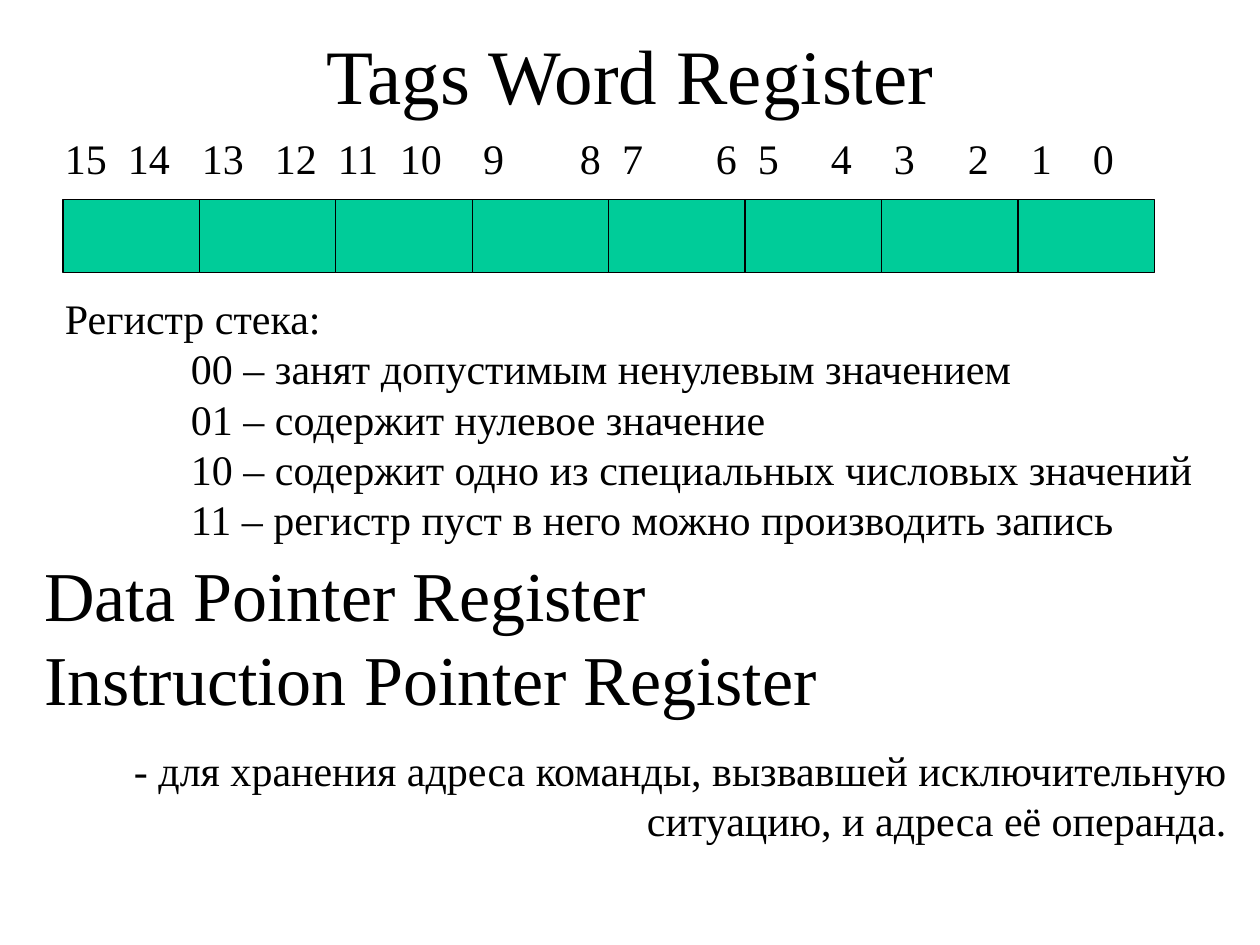
from pptx import Presentation
from pptx.dml.color import RGBColor
from pptx.enum.shapes import MSO_SHAPE
from pptx.enum.text import MSO_ANCHOR, MSO_AUTO_SIZE, PP_ALIGN
from pptx.oxml.xmlchemy import OxmlElement
from pptx.util import Cm, Pt

BLACK = RGBColor(0x00, 0x00, 0x00)
GREEN = RGBColor(0x00, 0xCC, 0x99)
TITLE_ONLY = 5
TAG_COUNT = 8
TAG_WIDTH = 2.75
BIT_STOPS = [1.27, 2.76, 4.23, 5.5, 6.75, 8.43, 10.38, 11.23,
             13.12, 13.97, 15.44, 16.71, 18.2, 19.47, 20.72]
TAG_MEANINGS = [
    "Регистр стека:",
    "00 – занят допустимым ненулевым значением",
    "01 – содержит нулевое значение",
    "10 – содержит одно из специальных числовых значений",
    "11 – регистр пуст в него можно производить запись",
]
POINTER_REGISTERS = ["Data Pointer Register", "Instruction Pointer Register"]
POINTER_PURPOSE = ("- для хранения адреса команды, вызвавшей исключительную "
                   "ситуацию, и адреса её операнда.")


def assign(target, values):
    """Set every attribute named in the values."""
    for name, value in values.items():
        setattr(target, name, value)


class RegisterSlide:
    """Hold the text style and the slide being built."""

    def __init__(self, deck):
        self.page = deck.slides.add_slide(deck.slide_layouts[TITLE_ONLY])
        self.font = {"name": "Times New Roman", "bold": False}

    def place(self, shape, left, top, width, height):
        """Move and size a shape in centimetres."""
        assign(shape, {"left": Cm(left), "top": Cm(top),
                       "width": Cm(width), "height": Cm(height)})

    def fill_paragraph(self, para, text, size, **layout):
        """Fill a paragraph with styled text."""
        para.text = text
        assign(para, layout)
        for span in para.runs:
            assign(span.font, {**self.font, "size": Pt(size)})
            span.font.color.rgb = BLACK

    def title(self, text, *area):
        """Fill the title placeholder."""
        box = self.page.shapes.title
        self.place(box, *area)
        assign(box.text_frame, {"auto_size": MSO_AUTO_SIZE.NONE,
                                "vertical_anchor": MSO_ANCHOR.MIDDLE})
        self.fill_paragraph(box.text_frame.paragraphs[0], text, 44,
                            alignment=PP_ALIGN.CENTER)

    def text(self, text, size, *area):
        """Add a wrapped text box and return it."""
        box = self.page.shapes.add_textbox(*map(Cm, area))
        box.text_frame.word_wrap = True
        self.fill_paragraph(box.text_frame.paragraphs[0], text, size)
        return box

    def tab_stops(self, para, stops):
        """Give a paragraph left tab stops."""
        tab_list = OxmlElement("a:tabLst")
        for stop in stops:
            tab = OxmlElement("a:tab")
            tab.set("pos", str(int(Cm(stop))))
            tab.set("algn", "l")
            tab_list.append(tab)
        para._p.get_or_add_pPr().append(tab_list)

    def hang(self, para, indent):
        """Indent every line after the first."""
        properties = para._p.get_or_add_pPr()
        properties.set("marL", str(int(Cm(indent))))
        properties.set("indent", str(-int(Cm(indent))))

    def cell(self, *area):
        """Add one outlined register field."""
        field = self.page.shapes.add_shape(MSO_SHAPE.RECTANGLE, *map(Cm, area))
        field.shadow.inherit = False
        field.fill.solid()
        field.fill.fore_color.rgb = GREEN
        field.line.color.rgb = BLACK
        field.line.width = Pt(0.75)


deck = Presentation()
assign(deck, {"slide_width": Cm(25.4), "slide_height": Cm(19.05)})
slide = RegisterSlide(deck)
slide.title("Tags Word Register", 1.9, 0.85, 21.6, 1.27)

bits = slide.text("\t".join(map(str, range(15, -1, -1))), 24,
                  1.06, 2.54, 22.23, 1.27)
slide.tab_stops(bits.text_frame.paragraphs[0], BIT_STOPS)
for index in range(TAG_COUNT):
    slide.cell(1.27 + index * TAG_WIDTH, 4.02, TAG_WIDTH, 1.48)

meanings = slide.text("\v".join(TAG_MEANINGS), 24, 1.06, 5.77, 23.92, 5.33)
slide.hang(meanings.text_frame.paragraphs[0], 2.54)

pointers = slide.text("\v".join(POINTER_REGISTERS), 40, 0.64, 11, 24.34, 6.17)
slide.fill_paragraph(pointers.text_frame.add_paragraph(), POINTER_PURPOSE, 24,
                     alignment=PP_ALIGN.RIGHT, space_before=Pt(14))
deck.save("out.pptx")
